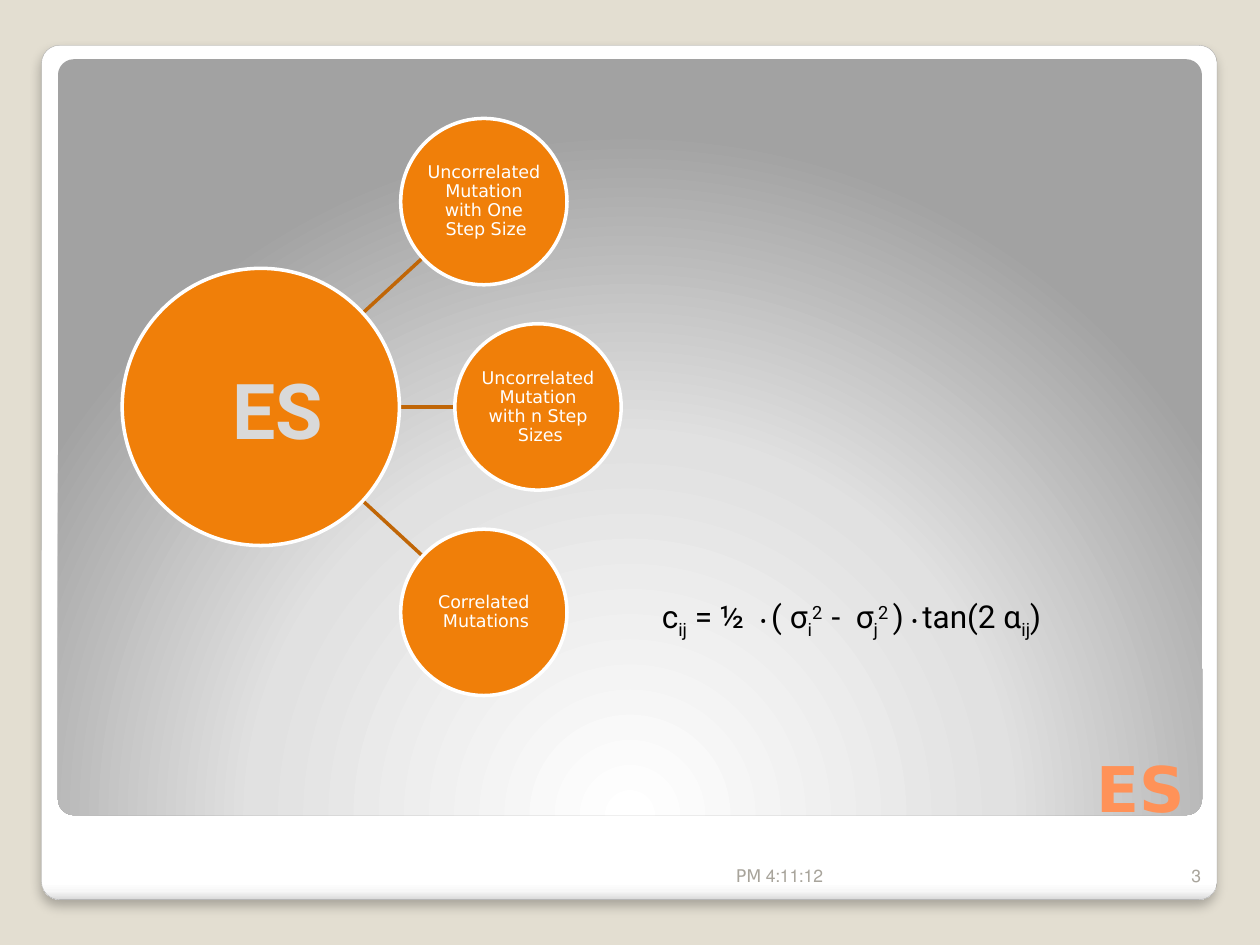
"""Build the slide on evolution strategies and their three mutation schemes."""
import math

import pptx
import pptx.dml.color
import pptx.enum.shapes
import pptx.enum.text
import pptx.oxml
import pptx.oxml.ns
import pptx.util

RGB = pptx.dml.color.RGBColor
Inches, Pt = pptx.util.Inches, pptx.util.Pt
SHAPE = pptx.enum.shapes.MSO_SHAPE
ALIGN = pptx.enum.text.PP_ALIGN
ANCHOR = pptx.enum.text.MSO_ANCHOR

BACKGROUND = RGB(0xE3, 0xDE, 0xD1)
EDGE = RGB(0xA4, 0xA4, 0xA4)
ORANGE = RGB(0xF0, 0x7F, 0x09)
SPOKE = RGB(0xC0, 0x66, 0x07)
TITLE = RGB(0xFF, 0x92, 0x58)
FOOTER = RGB(0xA8, 0xA4, 0x9B)
HUB_TEXT = RGB(0xD9, 0xD9, 0xD9)
WHITE = RGB(0xFF, 0xFF, 0xFF)
BLACK = RGB(0, 0, 0)
SANS, ROBOTO = "DejaVu Sans", "Roboto"

FRAME = (0.33, 0.36, 9.33, 6.78)
PANEL = (0.46, 0.47, 9.08, 6)
FRAME_STOPS = [(0, "FFFFFF"), (98, "FFFFFF"), (99, "F7F7F7"), (100, "DADADA")]
PANEL_STOPS = [(0, "FFFFFF"), (55, "E1E1E1"), (100, "A2A2A2")]
LINEAR = '<a:lin ang="5400000" scaled="0"/>'
RADIAL = ('<a:path path="circle"><a:fillToRect l="50000" t="175000" '
          'r="50000" b="-75000"/></a:path>')
SHADOW = ('<a:outerShdw blurRad="76200" dist="50800" dir="5400000" algn="tl" rotWithShape="0">'
          '<a:srgbClr val="000000"><a:alpha val="25000"/></a:srgbClr></a:outerShdw>')

HUB_CENTER, HUB_RADIUS = (2.07, 3.23), 1.1
SATELLITE_RADIUS = 0.66
SATELLITES = [
    ("Uncorrelated Mutation with One Step Size ", (3.84, 1.60)),
    ("Uncorrelated Mutation with n Step Sizes ", (4.27, 3.23)),
    ("Correlated Mutations ", (3.84, 4.86)),
]

FORMULA = [
    ("c", 18, 0), ("ij", 18, -25), (" = ½  ", 18, 0), ("•", 11, 0), (" ", 18, 30),
    ("( σ", 18, 0), ("i", 18, -25), ("2  ", 18, 30), ("-  σ", 18, 0), ("j", 18, -25),
    ("2 ", 18, 30), (") ", 18, 0), ("•", 11, 0), (" ", 18, 30), ("tan(2 α", 18, 0),
    ("ij", 18, -25), (")", 18, 0),
]
LABELS = [
    ((0.55, 5.45, 8.95, 1.15), [("ES", 36, 0)], SANS, TITLE, True, ANCHOR.BOTTOM, False),
    ((9.13, 6.68, 0.5, 0.4), [("3", 10, 0)], SANS, FOOTER, False, ANCHOR.BOTTOM, True),
    ((4.13, 6.68, 2.5, 0.4), [("4:11:12 PM", 10, 0)], SANS, FOOTER, False, ANCHOR.BOTTOM, True),
    ((1.33, 2.83, 1.33, 0.84), [("ES", 44, 0)], ROBOTO, HUB_TEXT, True, ANCHOR.TOP, True),
    ((3.91, 4.69, 4.45, 0.4), FORMULA, ROBOTO, BLACK, False, ANCHOR.TOP, True),
]


def element(name, content=""):
    return pptx.oxml.parse_xml(
        f'<a:{name} {pptx.oxml.ns.nsdecls("a")}>{content}</a:{name}>')


def write(shape, runs, font, color, bold, anchor, align, right_to_left):
    frame = shape.text_frame
    frame.word_wrap = True
    frame.vertical_anchor = anchor
    para = frame.paragraphs[0]
    para.alignment = align
    if right_to_left:
        para._p.get_or_add_pPr().set("rtl", "1")
    for text, size, baseline in runs:
        span = para.add_run()
        span.text = text
        span.font.size = Pt(size)
        span.font.name = font
        span.font.bold = bold
        span.font.color.rgb = color
        if baseline:
            span.font._element.set("baseline", str(baseline * 1000))
    return para


def add_panel(page, place, stops, direction):
    panel = page.shapes.add_shape(SHAPE.ROUNDED_RECTANGLE, *map(Inches, place))
    panel.adjustments[0] = 0.021
    panel.shadow.inherit = False
    panel.line.fill.background()
    marks = "".join(f'<a:gs pos="{position * 1000}"><a:srgbClr val="{color}"/></a:gs>'
                    for position, color in stops)
    geometry = panel._element.spPr.find(pptx.oxml.ns.qn("a:prstGeom"))
    geometry.addnext(element("gradFill", f"<a:gsLst>{marks}</a:gsLst>{direction}"))
    return panel


def add_circle(page, center, radius):
    x, y = center
    circle = page.shapes.add_shape(
        SHAPE.OVAL, *map(Inches, (x - radius, y - radius, 2 * radius, 2 * radius)))
    circle.shadow.inherit = False
    circle.fill.solid()
    circle.fill.fore_color.rgb = ORANGE
    circle.line.color.rgb = WHITE
    circle.line.width = Pt(2)
    return circle


def add_spoke(page, center):
    (x, y), (end_x, end_y) = HUB_CENTER, center
    angle = math.atan2(end_y - y, end_x - x)
    cosine, sine = math.cos(angle), math.sin(angle)
    ends = (x + HUB_RADIUS * cosine, y + HUB_RADIUS * sine,
            end_x - SATELLITE_RADIUS * cosine, end_y - SATELLITE_RADIUS * sine)
    spoke = page.shapes.add_connector(
        pptx.enum.shapes.MSO_CONNECTOR.STRAIGHT, *map(Inches, ends))
    spoke.line.color.rgb = SPOKE
    spoke.line.width = Pt(2)
    spoke._element.spPr.append(element("effectLst"))


def main():
    deck = pptx.Presentation()
    deck.slide_width, deck.slide_height = Inches(10), Inches(7.5)
    page = deck.slides.add_slide(deck.slide_layouts[6])
    page.background.fill.solid()
    page.background.fill.fore_color.rgb = BACKGROUND

    frame = add_panel(page, FRAME, FRAME_STOPS, LINEAR)
    frame.line.color.rgb = EDGE
    frame.line.width = Pt(0.16)
    effects = frame._element.spPr.find(pptx.oxml.ns.qn("a:effectLst"))
    effects.getparent().replace(effects, element("effectLst", SHADOW))
    add_panel(page, PANEL, PANEL_STOPS, RADIAL)

    for _, center in SATELLITES:
        add_spoke(page, center)
    add_circle(page, HUB_CENTER, HUB_RADIUS)
    for text, center in SATELLITES:
        circle = add_circle(page, center, SATELLITE_RADIUS)
        para = write(circle, [(text, 10, 0)], SANS, WHITE, False,
                     ANCHOR.MIDDLE, ALIGN.CENTER, True)
        para.line_spacing = 0.9
        for side in ("left", "top", "right", "bottom"):
            setattr(circle.text_frame, f"margin_{side}", Inches(0.01))

    for place, runs, font, color, bold, anchor, right_to_left in LABELS:
        box = page.shapes.add_textbox(*map(Inches, place))
        write(box, runs, font, color, bold, anchor, ALIGN.RIGHT, right_to_left)

    deck.save("out.pptx")


if __name__ == "__main__":
    main()
